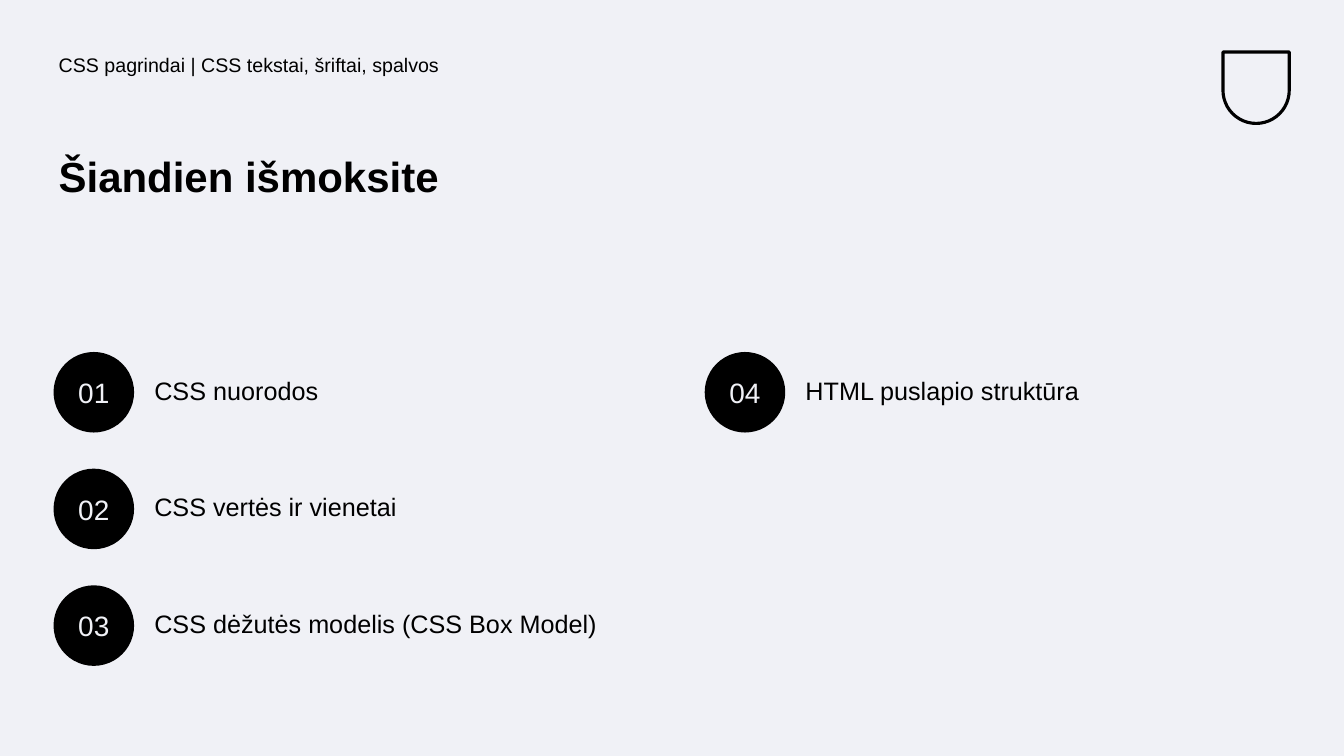
"""Build the lesson overview slide with its numbered topics."""
from pptx import Presentation
from pptx.dml.color import RGBColor
from pptx.enum.shapes import MSO_SHAPE as Preset
from pptx.enum.text import MSO_ANCHOR as Anchor, PP_ALIGN as Align
from pptx.util import Cm, Pt

COURSE = "CSS pagrindai | CSS tekstai, šriftai, spalvos"
HEADING = "Šiandien išmoksite"
TOPICS = [
    "CSS nuorodos",
    "CSS vertės ir vienetai",
    "CSS dėžutės modelis (CSS Box Model)",
    "HTML puslapio struktūra",
]
BLACK, PALE = "000000", "F0F1F6"
LEFT, TOPICS_TOP = 1.35, 8.87
ROWS, ROW_STEP, COLUMN_STEP = 3, 2.94, 16.41
DISC = 2.03
INSET = 0.13


def paint(color_format, color):
    color_format.rgb = RGBColor.from_string(color)


def write(shape, text, size=18, color=BLACK, bold=False, align=Align.LEFT,
          anchor=Anchor.TOP, spacing=1.0):
    frame = shape.text_frame
    frame.word_wrap = True
    frame.vertical_anchor = anchor
    frame.margin_left = frame.margin_right = Cm(INSET)
    frame.margin_top = frame.margin_bottom = Cm(INSET)
    paragraph = frame.paragraphs[0]
    paragraph.alignment = align
    paragraph.line_spacing = spacing
    run = paragraph.add_run()
    run.text = text
    run.font.name = "Arial"
    run.font.size = Pt(size)
    run.font.bold = bold
    paint(run.font.color, color)


def add_text(slide, text, left, top, width, height, **style):
    box = slide.shapes.add_textbox(Cm(left), Cm(top), Cm(width), Cm(height))
    write(box, text, **style)


def add_badge(slide):
    badge = slide.shapes.add_shape(
        Preset.ROUND_2_SAME_RECTANGLE, Cm(30.82), Cm(1.31), Cm(1.67), Cm(1.8))
    badge.shadow.inherit = False
    badge.rotation = 180
    badge.adjustments[0] = 0.5
    badge.fill.background()
    paint(badge.line.color, BLACK)
    badge.line.width = Pt(2.25)


def add_topic(slide, index, topic):
    column, row = divmod(index, ROWS)
    left = LEFT + column * COLUMN_STEP
    top = TOPICS_TOP + row * ROW_STEP
    disc = slide.shapes.add_shape(
        Preset.OVAL, Cm(left), Cm(top), Cm(DISC), Cm(DISC))
    disc.shadow.inherit = False
    disc.fill.solid()
    paint(disc.fill.fore_color, BLACK)
    disc.line.fill.background()
    write(disc, f"{index + 1:02}", size=20, color=PALE,
          align=Align.CENTER, anchor=Anchor.MIDDLE)
    add_text(slide, topic, left + 2.41, top + 0.45, 11.76, 1.14)


def main():
    deck = Presentation()
    deck.slide_width, deck.slide_height = Cm(33.87), Cm(19.05)
    slide = deck.slides.add_slide(deck.slide_layouts[6])
    slide.background.fill.solid()
    paint(slide.background.fill.fore_color, PALE)
    add_badge(slide)
    add_text(slide, COURSE, LEFT, 1.27, 18.85, 1.27, size=14, spacing=0.9)
    add_text(slide, HEADING, LEFT, 3.81, 14.33, 3.78, size=30, bold=True,
             spacing=0.9)
    for index, topic in enumerate(TOPICS):
        add_topic(slide, index, topic)
    deck.save("out.pptx")


if __name__ == "__main__":
    main()
